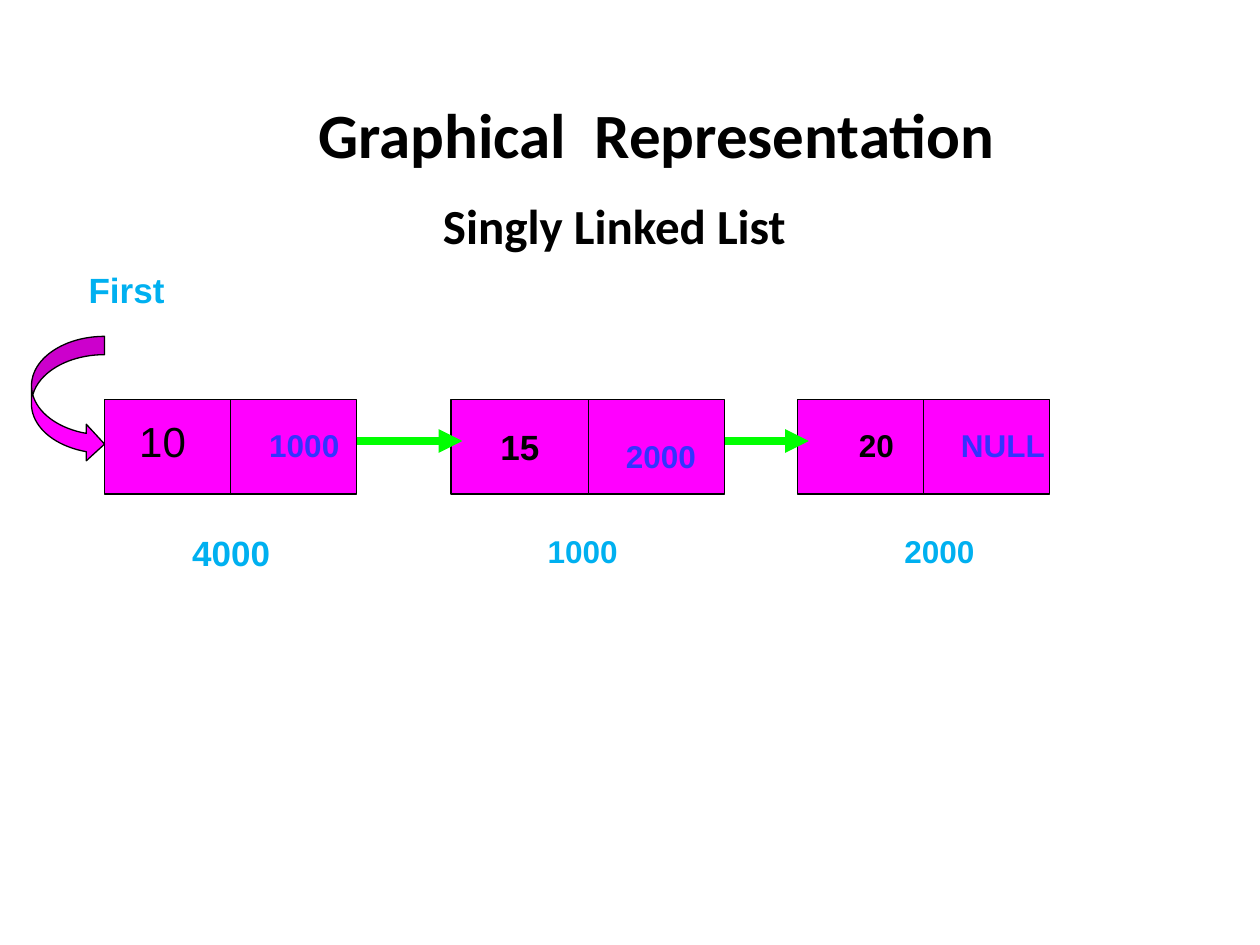
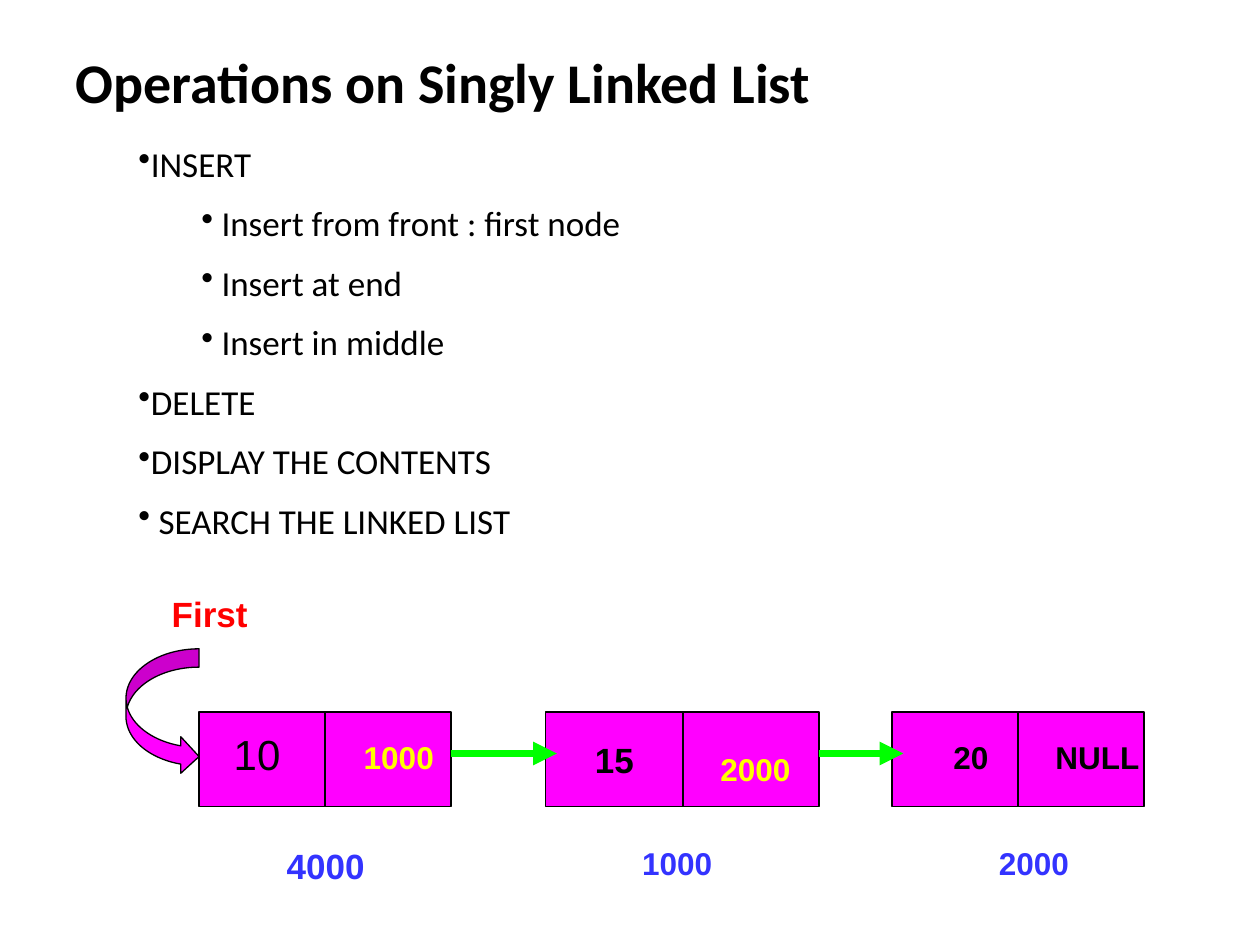
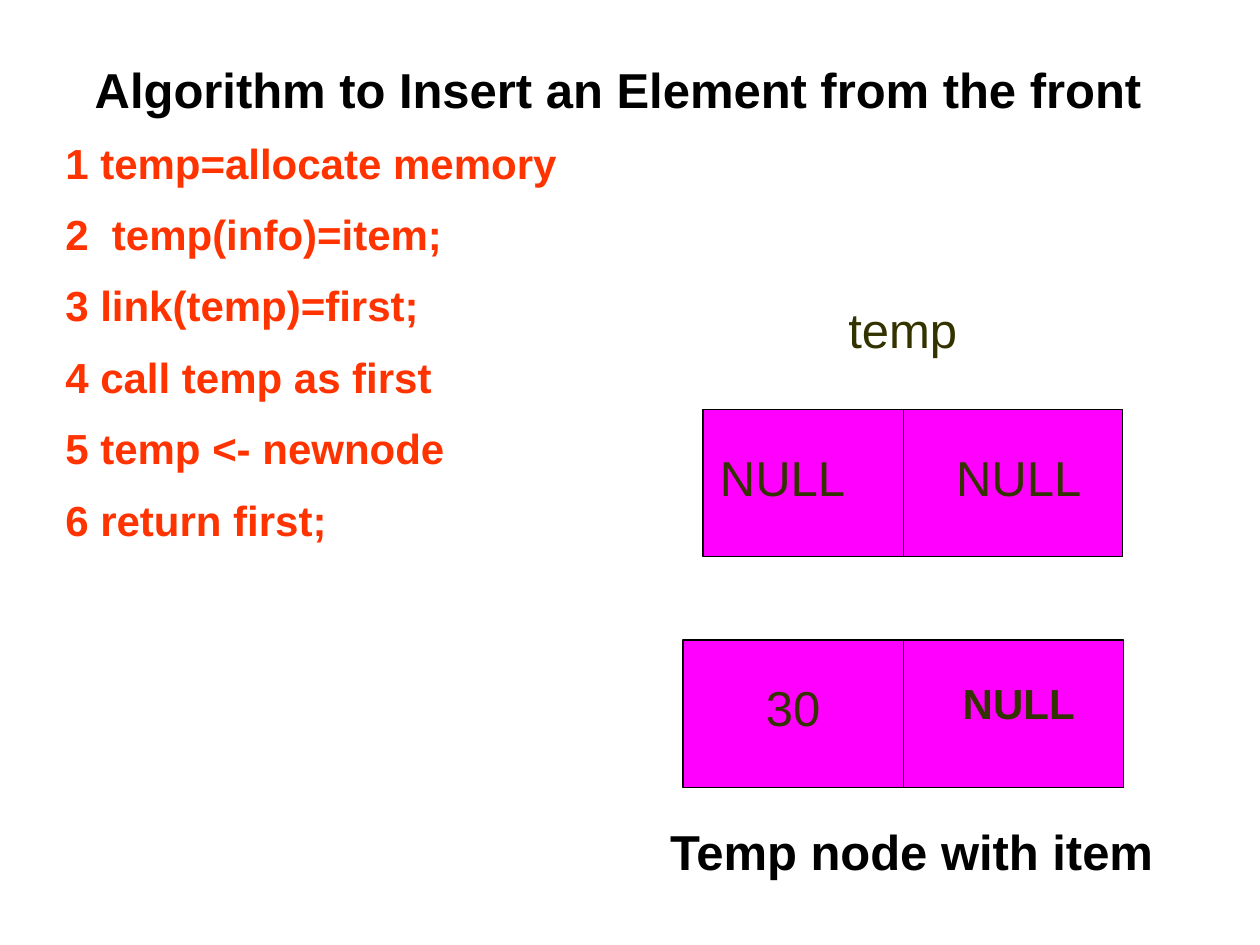
from dataclasses import dataclass
from typing import NamedTuple

from pptx import Presentation
from pptx.dml.color import RGBColor
from pptx.enum.shapes import MSO_CONNECTOR, MSO_SHAPE
from pptx.enum.text import MSO_ANCHOR, MSO_AUTO_SIZE, PP_ALIGN
from pptx.oxml.ns import qn
from pptx.util import Inches, Pt
from lxml import etree

LEFT, CENTER = PP_ALIGN.LEFT, PP_ALIGN.CENTER
TOP = MSO_ANCHOR.TOP
NO_AUTOFIT = MSO_AUTO_SIZE.NONE
RECTANGLE, CURVED_ARROW = MSO_SHAPE.RECTANGLE, MSO_SHAPE.CURVED_RIGHT_ARROW
STRAIGHT = MSO_CONNECTOR.STRAIGHT
TITLE_ONLY = 5


@dataclass(frozen=True)
class Theme:
    sans: str = "Arial"
    heading: str = "Calibri"
    black: str = "000000"
    node: str = "FF00FF"
    arrow: str = "00FF00"
    sky: str = "00B0F0"
    blue: str = "3333FF"
    yellow: str = "FFFF00"
    red: str = "FF0000"
    olive: str = "333300"
    step: str = "FF3300"
    small: int = 18
    body: int = 20
    large: int = 24
    section: int = 28
    title: int = 32
    hero: int = 36
    border: float = 0.75
    arrow_width: float = 4.5


THEME = Theme()


class Box(NamedTuple):
    left: float
    top: float
    width: float
    height: float

    def inset(self, dx, dy, width, height):
        return Box(self.left + dx, self.top + dy, width, height)

    def lengths(self):
        return [Inches(value) for value in self]


class Cell(NamedTuple):
    text: str
    dx: float
    dy: float
    width: float
    size: int
    bold: bool = True


class Node(NamedTuple):
    dx: float
    width: float
    divider: float
    value: Cell
    link: Cell
    address: Cell


CHAIN = (
    Node(0, 2, 1, Cell("10", 0.17, 0.08, 0.58, THEME.large, False),
         Cell("1000", 1.17, 0.16, 0.83, THEME.small),
         Cell("4000", 0.34, 1, 1.33, THEME.body)),
    Node(2.75, 2.17, 1.09, Cell("15", 0.17, 0.16, 0.75, THEME.body),
         Cell("2000", 1.25, 0.25, 0.83, THEME.small),
         Cell("1000", 0.17, 1, 1.75, THEME.small)),
    Node(5.5, 2, 1, Cell("20", 0.25, 0.16, 0.75, THEME.small),
         Cell("NULL", 1.17, 0.16, 0.92, THEME.small),
         Cell("2000", 0.25, 1, 1.75, THEME.small)),
)
NODE_HEIGHT = 0.75
ARROW_DROP = 0.33
ARROW_OVERLAP = 0.09

OPERATIONS = (
    (0, 0, "INSERT"),
    (1, 0.16, "Insert from front : first node"),
    (1, 0.16, "Insert at end"),
    (1, 0.16, "Insert in middle"),
    (0, 0, "DELETE"),
    (0, 0, "DISPLAY THE CONTENTS"),
    (0, 0.16, "SEARCH THE LINKED LIST"),
)
STEPS = (
    "1 temp=allocate memory",
    "2  temp(info)=item;",
    "3 link(temp)=first;",
    "4 call temp as first",
    "5 temp <- newnode",
    "6 return first;",
)


def apply(target, values):
    for attribute, value in values.items():
        setattr(target, attribute, value)


def format_frame(frame):
    apply(frame, {
        "word_wrap": True, "auto_size": NO_AUTOFIT, "vertical_anchor": TOP,
        "margin_left": Inches(0.1), "margin_right": Inches(0.1),
        "margin_top": Inches(0.05), "margin_bottom": Inches(0.05),
    })


def format_paragraph(paragraph, text, size, color, bold, font, align):
    run = paragraph.add_run()
    run.text = text
    paragraph.alignment = align
    apply(run.font, {"name": font, "size": Pt(size), "bold": bold})
    run.font.color.rgb = RGBColor.from_string(color)


def add_label(slide, box, text, size, color=THEME.black, bold=True,
              font=THEME.sans, align=CENTER):
    frame = slide.shapes.add_textbox(*box.lengths()).text_frame
    format_frame(frame)
    format_paragraph(frame.paragraphs[0], text, size, color, bold, font, align)


def add_titled_slide(deck, box, text, size, font=THEME.heading, align=CENTER):
    slide = deck.slides.add_slide(deck.slide_layouts[TITLE_ONLY])
    title = slide.shapes.title
    apply(title, dict(zip(("left", "top", "width", "height"), box.lengths())))
    format_frame(title.text_frame)
    format_paragraph(title.text_frame.paragraphs[0], text, size,
                     THEME.black, True, font, align)
    return slide


def add_filled(slide, preset, box):
    shape = slide.shapes.add_shape(preset, *box.lengths())
    shape.shadow.inherit = False
    shape.fill.solid()
    shape.fill.fore_color.rgb = RGBColor.from_string(THEME.node)
    shape.line.color.rgb = RGBColor.from_string(THEME.black)
    shape.line.width = Pt(THEME.border)
    return shape


def add_line(slide, start, end, color=THEME.black, width=THEME.border, arrow=False):
    points = [Inches(value) for value in (*start, *end)]
    connector = slide.shapes.add_connector(STRAIGHT, *points)
    connector.line.color.rgb = RGBColor.from_string(color)
    connector.line.width = Pt(width)
    properties = connector._element.spPr
    if arrow:
        etree.SubElement(properties.find(qn("a:ln")), qn("a:tailEnd"), type="triangle")
    etree.SubElement(properties, qn("a:effectLst"))


def add_cell(slide, box, cell, color):
    add_label(slide, box.inset(cell.dx, cell.dy, cell.width, 0.5),
              cell.text, cell.size, color, cell.bold)


def add_node(slide, box, divider, cells):
    add_filled(slide, RECTANGLE, box)
    middle = box.left + divider
    add_line(slide, (middle, box.top), (middle, box.top + box.height))
    for cell, color in cells:
        add_cell(slide, box, cell, color)


def add_chain(slide, box, link_colors, address_color):
    for node, link_color in zip(CHAIN, link_colors):
        add_node(slide, box.inset(node.dx, 0, node.width, NODE_HEIGHT), node.divider,
                 ((node.value, THEME.black), (node.link, link_color),
                  (node.address, address_color)))
    height = box.top + ARROW_DROP
    for node, following in zip(CHAIN, CHAIN[1:]):
        add_line(slide, (box.left + node.dx + node.width, height),
                 (box.left + following.dx + ARROW_OVERLAP, height),
                 THEME.arrow, THEME.arrow_width, arrow=True)
    pointer = add_filled(slide, CURVED_ARROW, box.inset(-0.58, -0.5, 0.58, 1))
    for index, ratio in enumerate((0.25, 0.5, 0.25)):
        pointer.adjustments[index] = ratio


def add_operations(slide, box):
    frame = slide.shapes.add_textbox(*box.lengths()).text_frame
    format_frame(frame)
    for index, (level, hang, text) in enumerate(OPERATIONS):
        paragraph = frame.add_paragraph() if index else frame.paragraphs[0]
        properties = paragraph._p.get_or_add_pPr()
        properties.set("marL", str(Inches(0.5 * level + hang)))
        properties.set("indent", str(Inches(-hang)))
        etree.SubElement(properties, qn("a:buChar"), char="•")
        paragraph.level = level
        if index:
            paragraph.space_before = Pt(10)
        format_paragraph(paragraph, text, THEME.body, THEME.black, False,
                         THEME.heading, LEFT)


def add_steps(slide, box):
    frame = slide.shapes.add_textbox(*box.lengths()).text_frame
    format_frame(frame)
    for index, text in enumerate(STEPS):
        paragraph = frame.add_paragraph() if index else frame.paragraphs[0]
        if index:
            paragraph.space_before = Pt(12)
        format_paragraph(paragraph, text, THEME.large, THEME.step, True,
                         THEME.sans, LEFT)


def build_representation(deck):
    slide = add_titled_slide(deck, Box(2, 0.71, 6.42, 0.71),
                             "Graphical  Representation", THEME.hero)
    add_label(slide, Box(2.25, 1.5, 5.25, 0.57), "Singly Linked List",
              THEME.section, font=THEME.heading)
    add_chain(slide, Box(0.83, 3.17, 7.5, 1.43), [THEME.blue] * 3, THEME.sky)
    add_label(slide, Box(0.42, 2.08, 1.17, 0.43), "First", THEME.body, THEME.sky)


def build_operations(deck):
    slide = add_titled_slide(deck, Box(0.5, 0.33, 7.25, 0.63),
                             "Operations on Singly Linked List", THEME.title,
                             align=LEFT)
    add_operations(slide, Box(1, 1.08, 7.92, 3.47))
    add_chain(slide, Box(1.58, 5.65, 7.5, 1.43),
              (THEME.yellow, THEME.yellow, THEME.black), THEME.blue)
    add_label(slide, Box(1.08, 4.65, 1.17, 0.43), "First", THEME.body, THEME.red)


def build_insertion(deck):
    slide = add_titled_slide(deck, Box(0.42, 0.42, 8.97, 0.57),
                             "Algorithm to Insert an Element from the front",
                             THEME.section, THEME.sans)
    add_steps(slide, Box(0.42, 1.04, 5, 3.54))
    add_label(slide, Box(5.75, 2.33, 2.83, 0.57), "temp", THEME.section,
              THEME.olive, False)
    empty_cells = (Cell("NULL", -0.08, 0.25, 1.42, THEME.section, False),
                   Cell("NULL", 1.84, 0.25, 1.33, THEME.section, False))
    item_cells = (Cell("30", 0.25, 0.25, 1.25, THEME.section, False),
                  Cell("NULL", 1.83, 0.25, 1.67, THEME.large))
    for box, divider, cells in ((Box(5.58, 3.25, 3.33, 1.17), 1.59, empty_cells),
                                (Box(5.42, 5.08, 3.5, 1.17), 1.75, item_cells)):
        add_node(slide, box, divider, [(cell, THEME.olive) for cell in cells])
    add_label(slide, Box(4.86, 6.47, 4.75, 0.57), "Temp node with item", THEME.section)


def main():
    deck = Presentation()
    deck.slide_width, deck.slide_height = Inches(10), Inches(7.5)
    for build in (build_representation, build_operations, build_insertion):
        build(deck)
    deck.save("out.pptx")


if __name__ == "__main__":
    main()
